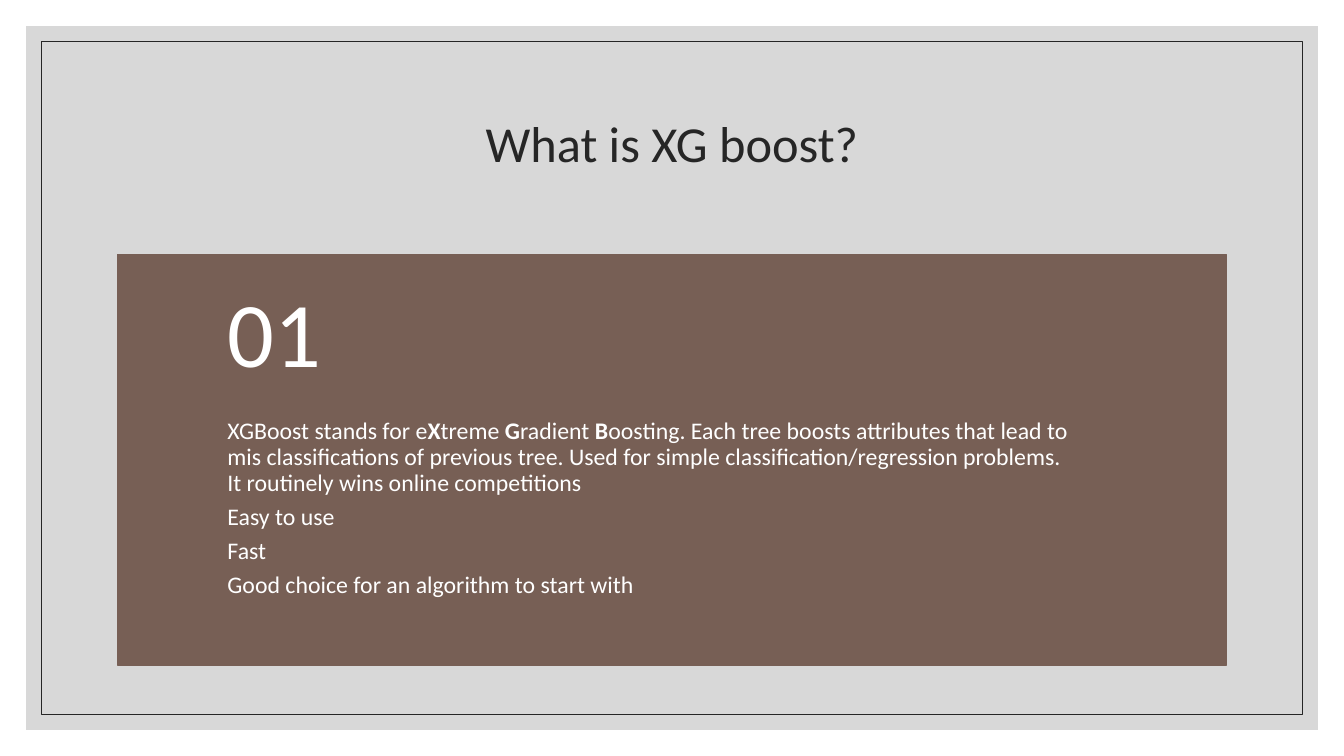
from lxml.etree import SubElement
from pptx import Presentation
from pptx.dml.color import RGBColor
from pptx.enum.shapes import MSO_SHAPE
from pptx.enum.text import MSO_ANCHOR, PP_ALIGN
from pptx.oxml.ns import qn
from pptx.util import Pt

COLORS = {"backdrop": "BFBFBF", "ink": "262626", "card": "775F55", "light": "FFFFFF"}
WIDTH, HEIGHT = 960, 540
CARD_LEFT, CARD_TOP, CARD_WIDTH = 84, 182, 792
NUMBER_HEIGHT, BODY_HEIGHT = 117.5, 175.5
SIDE_INSET = 78.5


def color(name):
    return RGBColor.from_string(COLORS[name])


def write_text(frame, paragraphs, size, ink, align=PP_ALIGN.LEFT, after=0,
               anchor=MSO_ANCHOR.TOP, insets=(7.2, 3.6, 7.2, 3.6)):
    """Each paragraph is a string; asterisks enclose bold parts, newlines break lines."""
    frame.word_wrap = True
    frame.vertical_anchor = anchor
    (frame.margin_left, frame.margin_top,
     frame.margin_right, frame.margin_bottom) = map(Pt, insets)
    for index, text in enumerate(paragraphs):
        paragraph = frame.add_paragraph() if index else frame.paragraphs[0]
        paragraph.alignment = align
        paragraph.line_spacing = 0.9
        paragraph.space_after = Pt(after)
        for line_number, line in enumerate(text.split("\n")):
            if line_number:
                paragraph.add_line_break()
            for part_number, part in enumerate(line.split("*")):
                run = paragraph.add_run()
                run.text = part
                run.font.name = "Calibri"
                run.font.size = Pt(size)
                run.font.bold = part_number % 2 == 1
                run.font.color.rgb = color(ink)


class SlideBuilder:
    def __init__(self, presentation):
        self.slide = presentation.slides.add_slide(presentation.slide_layouts[5])

    def rectangle(self, left, top, width, height, fill=None, line=None,
                  line_width=1, opacity=100):
        shape = self.slide.shapes.add_shape(
            MSO_SHAPE.RECTANGLE, Pt(left), Pt(top), Pt(width), Pt(height))
        shape.shadow.inherit = False
        if fill:
            shape.fill.solid()
            shape.fill.fore_color.rgb = color(fill)
            if opacity < 100:
                rgb = shape.element.spPr.find(".//" + qn("a:srgbClr"))
                SubElement(rgb, qn("a:alpha"), val=str(opacity * 1000))
        else:
            shape.fill.background()
        if line:
            shape.line.color.rgb = color(line)
            shape.line.width = Pt(line_width)
        else:
            shape.line.fill.background()

    def margin_rectangle(self, margin, **style):
        self.rectangle(margin, margin, WIDTH - 2 * margin, HEIGHT - 2 * margin, **style)

    def title(self, text, left, top, width, height, **style):
        shape = self.slide.shapes.title
        shape.left, shape.top, shape.width, shape.height = map(
            Pt, (left, top, width, height))
        write_text(shape.text_frame, [text], **style)
        # Bring the title in front of the backdrop
        shape.element.getparent().append(shape.element)

    def text_box(self, paragraphs, left, top, width, height, **style):
        box = self.slide.shapes.add_textbox(Pt(left), Pt(top), Pt(width), Pt(height))
        write_text(box.text_frame, paragraphs, **style)


def main():
    presentation = Presentation()
    presentation.slide_width, presentation.slide_height = Pt(WIDTH), Pt(HEIGHT)
    builder = SlideBuilder(presentation)

    # Backdrop and thin frame
    builder.margin_rectangle(18.7, fill="backdrop", opacity=60)
    builder.margin_rectangle(29.5, line="ink", line_width=0.5)

    # Title
    builder.title("What is XG boost?", CARD_LEFT, 50.4, CARD_WIDTH, 108, size=36,
                  ink="ink", align=PP_ALIGN.CENTER, anchor=MSO_ANCHOR.MIDDLE)

    # Card with number and description
    builder.rectangle(CARD_LEFT, CARD_TOP, CARD_WIDTH, NUMBER_HEIGHT + BODY_HEIGHT,
                      fill="card", line="card")
    builder.text_box(
        ["XGBoost stands for e*X*treme *G*radient *B*oosting. Each tree boosts "
         "attributes that lead to mis classifications of previous tree. Used for "
         "simple classification/regression problems.\n"
         "It routinely wins online competitions",
         "Easy to use",
         "Fast",
         "Good choice for an algorithm to start with"],
        CARD_LEFT, CARD_TOP + NUMBER_HEIGHT, CARD_WIDTH, BODY_HEIGHT,
        size=17, ink="light", after=6, insets=(SIDE_INSET, 0, 92, 26))
    builder.text_box(
        ["01"], CARD_LEFT, CARD_TOP, CARD_WIDTH, NUMBER_HEIGHT, size=66, ink="light",
        anchor=MSO_ANCHOR.MIDDLE, insets=(SIDE_INSET, 13, SIDE_INSET, 13))

    presentation.save("out.pptx")


if __name__ == "__main__":
    main()
